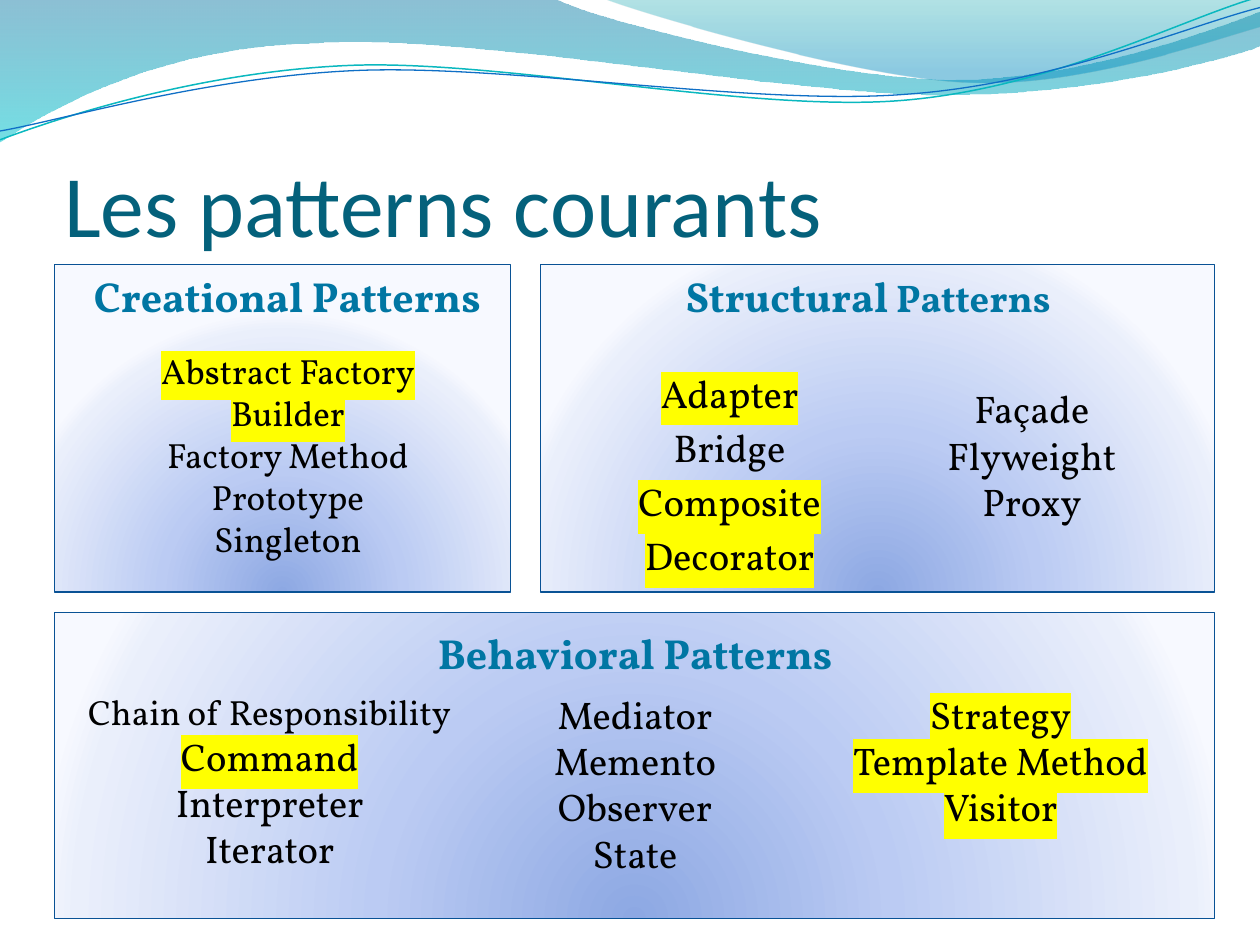
from lxml import etree
from pptx import Presentation
from pptx import util as u
from pptx.dml.color import RGBColor
from pptx.enum import shapes, text
from pptx.oxml.ns import qn

COLORS = {
    "title": "04617B", "heading": "0076A3", "body": "000000", "mark": "FFFF00",
    "border": "095295", "teal": "0AB8BF", "blue": "0F6FC6",
}
PANEL_STOPS = [(0, "8DA8E3", 100), (43, "BBCBF3", 100), (93, "EAEFFB", 100), (100, "F7F9FF", 100)]
COLS, ROWS = 100, 75  # grid of the slide


def add(parent, tag, **attrs):
    return etree.SubElement(parent, qn(tag), {k: str(v) for k, v in attrs.items()})


def add_color(parent, color, opacity=100):
    node = add(parent, "a:srgbClr", val=color)
    if opacity < 100:
        add(node, "a:alpha", val=opacity * 1000)


class Deck:
    def __init__(self):
        self.prs = Presentation()
        self.prs.slide_width, self.prs.slide_height = u.Inches(10), u.Inches(7.5)
        self.slide = self.prs.slides.add_slide(self.prs.slide_layouts[6])

    def x(self, col):
        return round(self.prs.slide_width * col / COLS)

    def y(self, row):
        return round(self.prs.slide_height * row / ROWS)

    def box(self, col, row, width, height):
        return self.x(col), self.y(row), self.x(width), self.y(height)

    def gradient(self, shape, stops, radial=False):
        shape.fill.gradient()
        grad = shape._element.spPr.find(qn("a:gradFill"))
        for child in list(grad):
            grad.remove(child)
        stop_list = add(grad, "a:gsLst")
        for pos, color, opacity in stops:
            add_color(add(stop_list, "a:gs", pos=pos * 1000), color, opacity)
        if radial:
            circle = add(grad, "a:path", path="circle")
            add(circle, "a:fillToRect", l=50000, t=130000, r=50000, b=-30000)
        else:
            add(grad, "a:lin", ang=5400000, scaled=0)

    def outline(self, shape, color, width):
        shape.line.color.rgb = RGBColor.from_string(COLORS[color])
        shape.line.width = u.Pt(width)

    def curve(self, start, segments, stops=None, line=None):
        """Segments hold one point for a straight part, three for a curved one."""
        points = [(self.x(a), self.y(b)) for a, b in [start] + sum(segments, [])]
        builder = self.slide.shapes.build_freeform(*points[0], scale=1.0)
        builder.add_line_segments(points[1:], close=bool(stops))
        shape = builder.convert_to_shape()

        # Join each three straight steps of a curved part into one Bézier
        steps = iter(list(shape._element.spPr.iter(qn("a:lnTo"))))
        for seg in segments:
            parts = [next(steps) for _ in seg]
            if len(seg) == 3:
                bezier = etree.Element(qn("a:cubicBezTo"))
                parts[0].addprevious(bezier)
                for part in parts:
                    bezier.append(part[0])
                    part.getparent().remove(part)

        shape.shadow.inherit = False
        if stops:
            self.gradient(shape, stops)
            shape.line.fill.background()
        else:
            shape.fill.background()
            self.outline(shape, *line)

    def panel(self, *place):
        shape = self.slide.shapes.add_shape(shapes.MSO_SHAPE.RECTANGLE, *self.box(*place))
        self.gradient(shape, PANEL_STOPS, radial=True)
        self.outline(shape, "border", 0.75)
        shape.shadow.inherit = False

    def frame(self, place, insets=(0.1, 0.05, 0.1, 0.05), anchor=text.MSO_ANCHOR.TOP):
        frame = self.slide.shapes.add_textbox(*self.box(*place)).text_frame
        frame.word_wrap = True
        frame.vertical_anchor = anchor
        (frame.margin_left, frame.margin_top,
         frame.margin_right, frame.margin_bottom) = map(u.Inches, insets)
        return frame

    def run(self, par, words, size, color="body", bold=False, font="Vollkorn", marked=False):
        run = par.add_run()
        run.text = words
        run.font.size, run.font.bold = u.Pt(size), bold
        run.font.color.rgb = RGBColor.from_string(COLORS[color])
        run.font.name = font
        if marked:
            props = run._r.get_or_add_rPr()
            highlight = add(props, "a:highlight")
            add_color(highlight, COLORS["mark"])
            props.find(qn("a:solidFill")).addnext(highlight)

    def title(self, words, *place):
        frame = self.frame(place, (0, 0.05, 0, 0), text.MSO_ANCHOR.BOTTOM)
        self.run(frame.paragraphs[0], words, 50, "title", font="Calibri")

    def heading(self, runs, *place, before=4.8):
        par = self.frame(place).paragraphs[0]
        par.alignment = text.PP_ALIGN.CENTER
        par.space_before = u.Pt(before)
        for words, size in runs:
            self.run(par, words, size, "heading", bold=True)

    def patterns(self, names, *place, size=22, first_size=None, before=0, marked=()):
        frame = self.frame(place, (0, 0.05, 0, 0.05))
        for i, name in enumerate(names):
            par = frame.add_paragraph() if i else frame.paragraphs[0]
            par.alignment = text.PP_ALIGN.CENTER
            par.space_before = u.Pt(before)
            self.run(par, name, size if i else first_size or size, marked=name in marked)


def main():
    deck = Deck()

    # Waves along the top
    deck.curve((0, 0), [
        [(44, -0.1)],
        [(47.6, 1.7), (66.4, 6.3), (75.8, 6.3)],
        [(85.3, 6.3), (95.8, 2.6), (100, 0.9)],
        [(100.1, 3.6)],
        [(98.3, 4.4), (87, 7.6), (74.6, 7.5)],
        [(62.2, 7.5), (38.2, 2.8), (25.7, 3.4)],
        [(12.9, 3.6), (4.6, 8.3), (-0.1, 11.3)],
    ], stops=[(0, "0074A1", 45), (100, "00C6CF", 55)])
    deck.curve((47.9, -0.1), [
        [(50.9, 1.1), (68.2, 6.2), (76.9, 6.5)],
        [(85.6, 6.9), (96.1, 3.2), (100, 2.1)],
        [(100, 0)],
    ], stops=[(0, "00A1A9", 30), (80, "008BBF", 45)])
    deck.curve((0, 11.1), [
        [(4.8, 9.3), (15.8, 5.7), (27.7, 5.2)],
        [(39.5, 4.7), (59.3, 8.9), (71.3, 8)],
        [(83.3, 7.1), (93.8, 1.5), (99.8, -0.2)],
    ], line=("teal", 0.85))
    deck.curve((0, 10.4), [
        [(4.7, 9.6), (16.4, 6.1), (28.3, 5.6)],
        [(40.3, 5.1), (59.7, 8.4), (71.7, 7.5)],
        [(83.6, 6.7), (94.1, 2.1), (100, 0.6)],
    ], line=("blue", 0.75))

    # Panels
    deck.panel(42.9, 21, 53.5, 26)
    deck.panel(4.3, 21, 36.2, 26)
    deck.panel(4.3, 48.6, 92.1, 24.3)

    deck.title("Les patterns courants", 5.1, 7.7, 90, 12.5)

    # Creational patterns
    deck.heading([("Creational Patterns", 24)], 5.1, 21, 35.4, 6.3)
    deck.patterns(["Abstract Factory", "Builder", "Factory Method", "Prototype", "Singleton"],
                  5.15, 27.25, 35.4, 17.8, size=20, marked=("Abstract Factory", "Builder"))

    # Structural patterns
    deck.heading([("Structural", 24), (" Patterns", 22)], 42.9, 21, 52, 5, before=0)
    deck.patterns(["Adapter", "Bridge", "Composite", "Decorator"], 45.3, 28.85, 25.2, 15,
                  size=22.1, before=4.4, marked=("Adapter", "Composite", "Decorator"))
    deck.patterns(["Façade", "Flyweight", "Proxy"], 69.7, 30.1, 24.4, 12.1)

    # Behavioral patterns, in three equal columns
    deck.heading([("Behavioral Patterns", 24)], 5.9, 49.3, 89, 4.6)
    behavioral = [
        (["Chain of Responsibility", "Command", "Interpreter", "Iterator"], 20),
        (["Mediator", "Memento", "Observer", "State"], 22),
        (["Strategy", "Template Method", "Visitor"], 22),
    ]
    column = 29
    for i, (names, first_size) in enumerate(behavioral):
        deck.patterns(names, 6.9 + i * column, 54.35, column, 16, first_size=first_size,
                      marked=("Command", "Strategy", "Template Method", "Visitor"))

    deck.prs.save("out.pptx")


if __name__ == "__main__":
    main()
